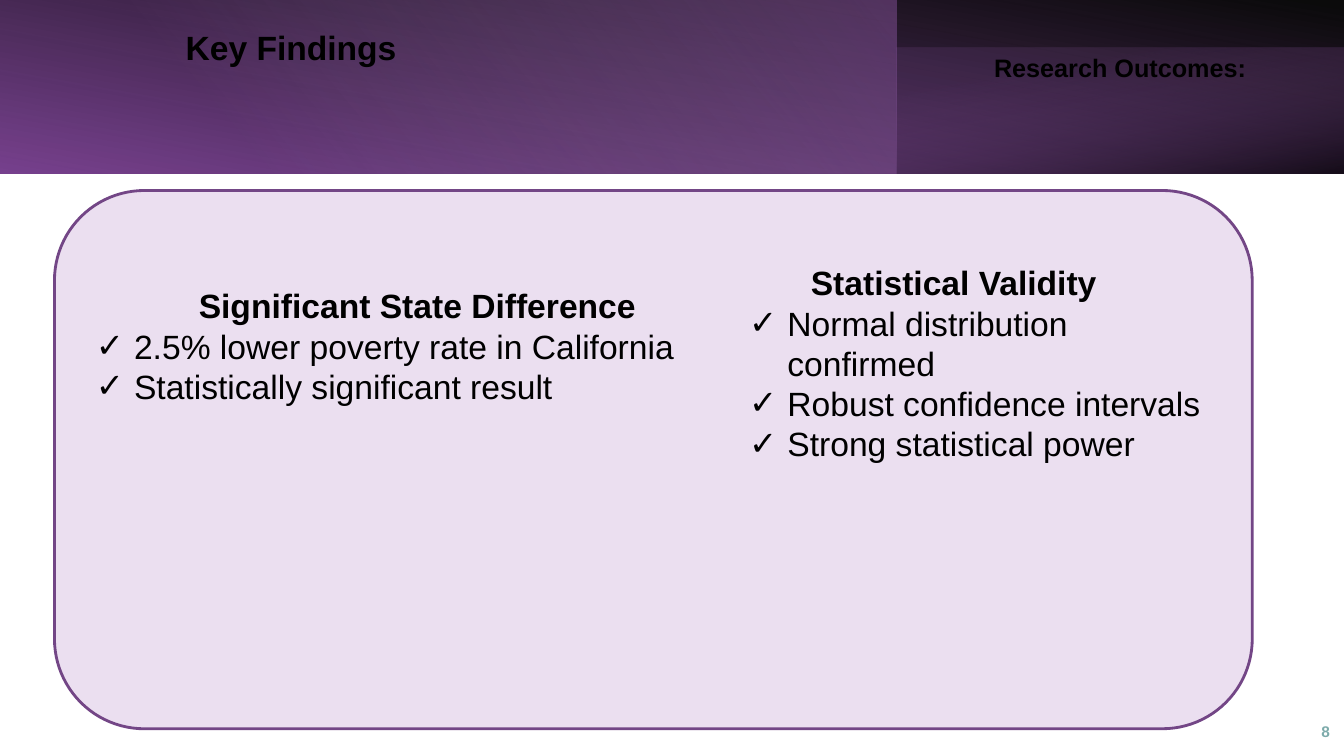
from lxml.etree import SubElement
from pptx import Presentation
from pptx.dml.color import RGBColor
from pptx.enum.shapes import MSO_SHAPE
from pptx.enum.text import MSO_ANCHOR, MSO_AUTO_SIZE, PP_ALIGN
from pptx.oxml.ns import qn
from pptx.util import Inches, Pt

COLORS = {"black": "000000", "white": "FFFFFF", "purple": "9C5FB5", "plum": "77418E",
          "lilac": "C49FD3", "panel": "EBDFF0", "outline": "734686", "number": "7DABAB"}


def add_block(page, kind, place, fill):
    """Add a shape without line or shadow; fill is a colour name or (angle, stops)."""
    block = page.shapes.add_shape(kind, *[Inches(v) for v in place])
    block.shadow.inherit = False
    block.line.fill.background()
    if isinstance(fill, str):
        block.fill.solid()
        block.fill.fore_color.rgb = RGBColor.from_string(COLORS[fill])
        return block
    angle, stops = fill
    block.fill.gradient()
    gradient = block._element.spPr.find(qn("a:gradFill"))
    gradient.attrib.clear()
    for child in list(gradient):
        gradient.remove(child)
    stop_list = SubElement(gradient, qn("a:gsLst"))
    for position, color, opacity in stops:
        stop = SubElement(stop_list, qn("a:gs"), pos=str(position * 1000))
        tone = SubElement(stop, qn("a:srgbClr"), val=COLORS[color])
        SubElement(tone, qn("a:alpha"), val=str(opacity * 1000))
    SubElement(gradient, qn("a:lin"), ang=str(angle * 60000), scaled="0")
    return block


def write(para, text, size, color="black", bold=True, align=PP_ALIGN.LEFT, after=0):
    """Put one formatted span into a paragraph."""
    span = para.add_run()
    span.text = text
    for name, value in {"name": "Arial", "size": Pt(size), "bold": bold}.items():
        setattr(span.font, name, value)
    span.font.color.rgb = RGBColor.from_string(COLORS[color])
    spacing = {"alignment": align, "space_before": Pt(0), "space_after": Pt(after),
               "line_spacing": 1.0}
    for name, value in spacing.items():
        setattr(para, name, value)


deck = Presentation()
deck.slide_width, deck.slide_height = Inches(13.33), Inches(7.5)
page = deck.slides.add_slide(deck.slide_layouts[3])
title, left_list, right_list = list(page.placeholders)[:3]

# Header band with layered gradients
add_block(page, MSO_SHAPE.RECTANGLE, (0, 0, 13.33, 7.5), "white")
band = add_block(page, MSO_SHAPE.RECTANGLE, (0, 0, 13.33, 1.72),
                 (260, [(0, "black", 96), (100, "plum", 100)]))
band.rotation = 180
add_block(page, MSO_SHAPE.RECTANGLE, (0, 0, 8.89, 1.72),
          (320, [(26, "lilac", 0), (100, "purple", 41)]))
outcomes = add_block(page, MSO_SHAPE.RECTANGLE, (8.89, 0.47, 4.44, 1.25),
                     (100, [(22, "purple", 15), (100, "black", 63)]))
for block in (band, outcomes):
    block._element.spPr.find(qn("a:xfrm")).set("flipH", "1")
outcomes.text_frame.vertical_anchor = MSO_ANCHOR.TOP
write(outcomes.text_frame.paragraphs[0], "Research Outcomes:", 18, align=PP_ALIGN.CENTER)

# Slide number
number = page.shapes.add_textbox(Inches(12.8), Inches(7.06), Inches(0.49), Inches(0.4))
number.text_frame.word_wrap = True
number.text_frame.vertical_anchor = MSO_ANCHOR.MIDDLE
write(number.text_frame.paragraphs[0], "8", 11, "number", align=PP_ALIGN.RIGHT, after=6)

# Rounded panel
panel = add_block(page, MSO_SHAPE.ROUNDED_RECTANGLE, (0.54, 1.89, 11.88, 5.34), "panel")
panel.adjustments[0] = 0.167
panel.line.color.rgb = RGBColor.from_string(COLORS["outline"])
panel.line.width = Pt(2)

# Title and lists, brought in front of the panel
placements = [(title, (1.74, 0.22, 6.3, 0.5)),
              (right_list, (6.83, 2.55, 5.35, 2.12)),
              (left_list, (0.85, 2.78, 6.67, 1.31))]
for box, place in placements:
    for name, value in zip(("left", "top", "width", "height"), place):
        setattr(box, name, Inches(value))
    frame_format = {"word_wrap": True, "auto_size": MSO_AUTO_SIZE.SHAPE_TO_FIT_TEXT,
                    "vertical_anchor": MSO_ANCHOR.TOP}
    for name, value in frame_format.items():
        setattr(box.text_frame, name, value)
    page.shapes._spTree.append(box._element)
write(title.text_frame.paragraphs[0], "Key Findings", 24)

findings = [
    (right_list, "Statistical Validity ", 1, 0.88,
     ["Normal distribution confirmed", "Robust confidence intervals",
      "Strong statistical power"]),
    (left_list, "Significant State Difference ", 0, 0.38,
     ["2.5% lower poverty rate in California", "Statistically significant result"]),
]
for box, heading, level, margin, points in findings:
    para = box.text_frame.paragraphs[0]
    write(para, heading, 24, align=PP_ALIGN.CENTER)
    props = para._p.get_or_add_pPr()
    props.set("marL", "0")
    props.set("indent", "0")
    SubElement(props, qn("a:buNone"))
    for point in points:
        para = box.text_frame.add_paragraph()
        para.level = level
        write(para, point, 24, bold=False)
        props = para._p.get_or_add_pPr()
        props.set("marL", str(Inches(margin)))
        props.set("indent", str(Inches(-0.38)))
        SubElement(props, qn("a:buFont"), typeface="Arial")
        SubElement(props, qn("a:buChar"), char="✓")

deck.save("out.pptx")
